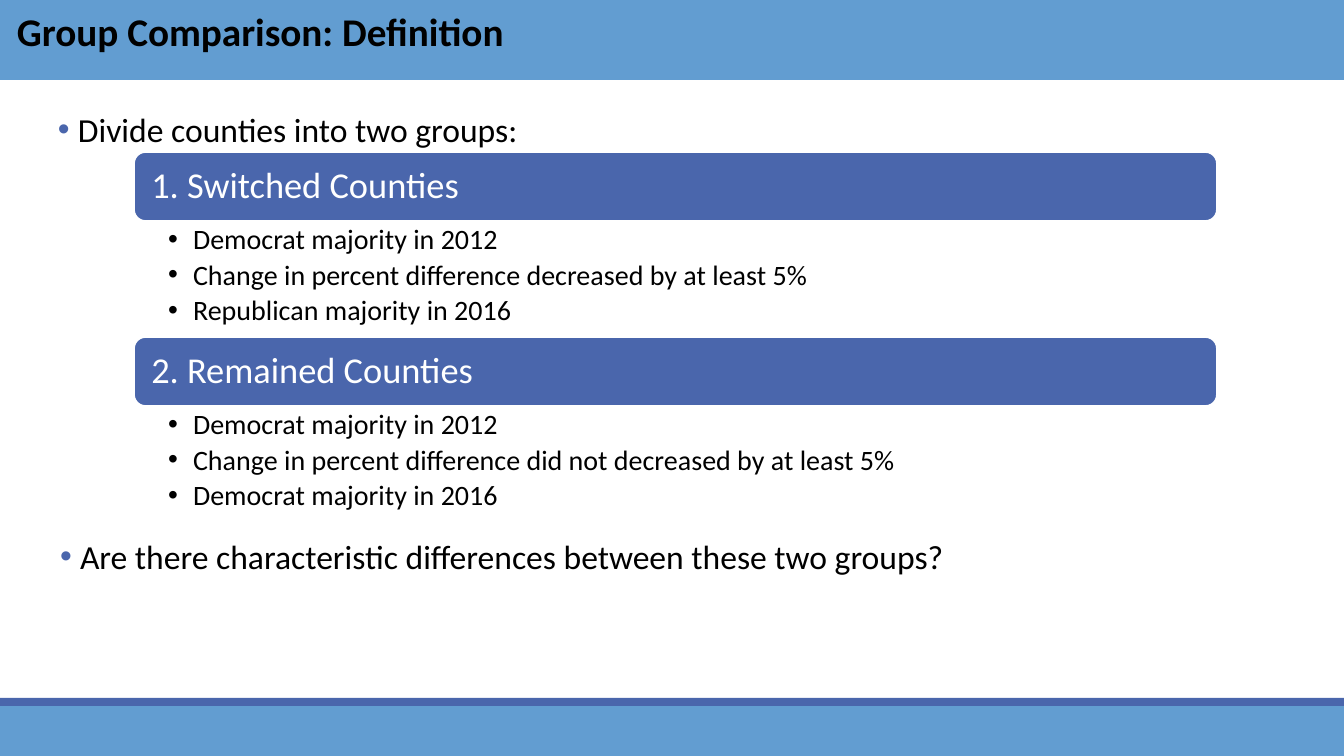
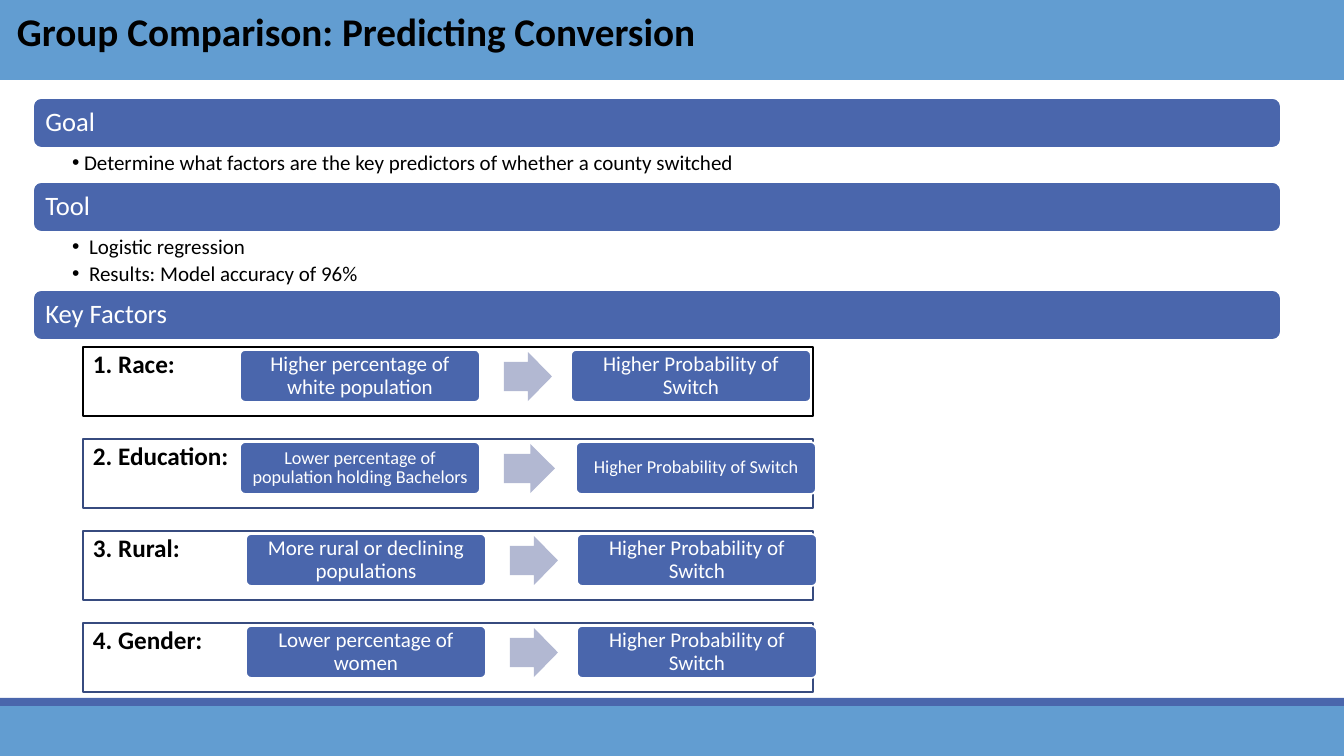
from lxml.etree import SubElement
from pptx import Presentation
from pptx.dml.color import RGBColor
from pptx.enum.shapes import MSO_SHAPE
from pptx.enum.text import MSO_ANCHOR, MSO_AUTO_SIZE, PP_ALIGN
from pptx.oxml.ns import qn
from pptx.util import Emu, Pt

SCALE = 914400 / 100.8
WIDE, HIGH = 1344, 756
FONT = "Calibri"
BLUE, SKY, NAVY, PALE = "4A66AC", "629DD1", "374B7F", "B2B8D2"
BLACK, WHITE = "000000", "FFFFFF"


def px(count):
    """Turn pixels into EMU."""
    return Emu(round(count * SCALE))


def paint(target, color):
    """Give a fill, line or font a solid colour."""
    if hasattr(target, "solid"):
        target.solid()
        target.fore_color.rgb = RGBColor.from_string(color)
    else:
        target.color.rgb = RGBColor.from_string(color)


def place(shape, box):
    """Move a shape to a box of left, top, width and height."""
    shape.left, shape.top, shape.width, shape.height = map(px, box)


def dot(para, color, hang, start):
    """Add a round bullet with a hanging indent."""
    props = para._p.get_or_add_pPr()
    props.set("marL", str(px(start)))
    props.set("indent", str(-px(hang)))
    tint = SubElement(props, qn("a:buClr"))
    SubElement(tint, qn("a:srgbClr")).set("val", color)
    SubElement(props, qn("a:buFont")).set("typeface", "Arial")
    SubElement(props, qn("a:buChar")).set("char", "•")


def write(shape, lines, size=18, color=BLACK, bold=False, align=PP_ALIGN.LEFT,
          anchor=MSO_ANCHOR.TOP, inset=(10, 5, 10, 5), after=0, bullet=None,
          hang=0, start=0):
    """Fill a shape with one paragraph for each line."""
    frame = shape.text_frame
    frame.word_wrap = True
    frame.auto_size = MSO_AUTO_SIZE.NONE
    frame.vertical_anchor = anchor
    (frame.margin_left, frame.margin_top,
     frame.margin_right, frame.margin_bottom) = map(px, inset)
    for spot, line in enumerate(lines):
        para = frame.add_paragraph() if spot else frame.paragraphs[0]
        para.alignment = align
        para.line_spacing = 0.9
        para.space_before, para.space_after = Pt(0), Pt(after)
        if bullet:
            dot(para, bullet, hang, start)
        run = para.add_run()
        run.text = line
        run.font.name, run.font.size, run.font.bold = FONT, Pt(size), bold
        paint(run.font, color)


def draw(slide, kind, box, fill, line=None):
    """Add a flat preset shape."""
    shape = slide.shapes.add_shape(kind, *map(px, box))
    shape.shadow.inherit = False
    paint(shape.fill, fill)
    if line:
        paint(shape.line, line)
        shape.line.width = Pt(1.25)
    else:
        shape.line.fill.background()
    return shape


def dress(deck, slide):
    """Draw the shared bands and move them to the master."""
    bands = [((0, 0, WIDE, 80), SKY), ((0, 706, WIDE, 50), SKY),
             ((0, 698, WIDE, 8), BLUE)]
    for mark, (box, color) in enumerate(bands, 20):
        band = draw(slide, MSO_SHAPE.RECTANGLE, box, color).element
        band.nvSpPr.cNvPr.set("id", str(mark))
        deck.slide_master.shapes.element.append(band)


def start_slide(deck, layout, title):
    """Add a slide with its title in the top band."""
    slide = deck.slides.add_slide(deck.slide_layouts.get_by_name(layout))
    place(slide.shapes.title, (7, 8, 1159, 56))
    write(slide.shapes.title, [title], size=28, bold=True)
    return slide


def point(body, box, line):
    """Set one large bullet in a body placeholder."""
    place(body, box)
    write(body, [line], size=24, inset=(0, 5, 0, 5), bullet=BLUE,
          hang=20, start=42)


def header(slide, box, text, size, pad):
    """Draw a rounded header bar."""
    bar = draw(slide, MSO_SHAPE.ROUNDED_RECTANGLE, box, BLUE, WHITE)
    write(bar, [text], size=size, color=WHITE, anchor=MSO_ANCHOR.MIDDLE,
          inset=(pad, 0, pad, 0))


def items(body, box, lines, size, pad, hang):
    """Set a small bullet list in a body placeholder."""
    place(body, box)
    write(body, lines, size=size, inset=(pad, 4, 15, 4), after=size / 5,
          bullet=BLACK, hang=hang, start=hang)


def pill(slide, box, text, size):
    """Draw a rounded box with centred text."""
    shape = draw(slide, MSO_SHAPE.ROUNDED_RECTANGLE, box, BLUE, WHITE)
    shape.adjustments[0] = 0.1
    write(shape, [text], size=size, color=WHITE, align=PP_ALIGN.CENTER,
          anchor=MSO_ANCHOR.MIDDLE, inset=(8, 0, 8, 0))


def factor(slide, box, label, cause, lead, step, size, line):
    """Draw a framed row: label, cause, arrow and effect."""
    left, top, _, _ = box
    row = draw(slide, MSO_SHAPE.RECTANGLE, box, WHITE, line)
    write(row, [label], bold=True)
    wide, high = 240, 52
    gap = step - wide
    first, head = left + lead, top + 3
    pill(slide, (first, head, wide, high), cause, size)
    arrow = draw(slide, MSO_SHAPE.RIGHT_ARROW,
                 (first + wide + 24, head + 2, gap * 8 // 15, 49), PALE)
    arrow.adjustments[0] = 0.6
    pill(slide, (first + step, head, wide, high),
         "Higher Probability of Switch", size)


def define(deck):
    """Build the slide that defines the two groups."""
    slide = start_slide(deck, "Comparison", "Group Comparison: Definition")
    _, intro, upper, lower, close = slide.placeholders
    point(intro, (36, 108, 1241, 68), "Divide counties into two groups:")
    point(close, (38, 535, 1241, 68),
          "Are there characteristic differences between these two groups?")
    groups = [
        (upper, "1. Switched Counties",
         ["Democrat majority in 2012",
          "Change in percent difference decreased by at least 5%",
          "Republican majority in 2016"]),
        (lower, "2. Remained Counties",
         ["Democrat majority in 2012",
          "Change in percent difference did not decreased by at least 5%",
          "Democrat majority in 2016"]),
    ]
    left, top, wide, bar, list_high = 134, 152, 1083, 69, 116
    for body, head, lines in groups:
        header(slide, (left, top, wide, bar), head, 26, 14)
        items(body, (left, top + bar, wide, list_high), lines, 20, 34, 25)
        top += bar + list_high
    return slide


def predict(deck):
    """Build the slide on the factors of a switch."""
    slide = start_slide(deck, "Two Content",
                        "Group Comparison: Predicting Conversion")
    _, goal, tool = slide.placeholders
    parts = [
        (goal, "Goal", 34, 12,
         ["Determine what factors are the key predictors of whether "
          "a county switched"]),
        (tool, "Tool", 58, 17,
         ["Logistic regression", "Results: Model accuracy of 96%"]),
    ]
    left, top, wide, bar = 33, 98, 1248, 50
    for body, head, list_high, hang, lines in parts:
        header(slide, (left, top, wide, bar), head, 19, 10)
        items(body, (left, top + bar, wide, list_high), lines, 15, 39, hang)
        top += bar + list_high
    header(slide, (left, top, wide, bar), "Key Factors", 19, 10)
    rows = [
        ("1. Race:", "Higher percentage of white population",
         157, 331, 15, BLACK),
        ("2. Education:", "Lower percentage of population holding Bachelors",
         157, 336, 13, NAVY),
        ("3. Rural:", "More rural or declining populations",
         163, 331, 15, NAVY),
        ("4. Gender:", "Lower percentage of women", 163, 331, 15, NAVY),
    ]
    for spot, row in enumerate(rows):
        factor(slide, (83, 347 + 92 * spot, 730, 69), *row)


def main():
    """Build and save the deck."""
    deck = Presentation()
    deck.slide_width, deck.slide_height = px(WIDE), px(HIGH)
    dress(deck, define(deck))
    predict(deck)
    deck.save("out.pptx")


main()
